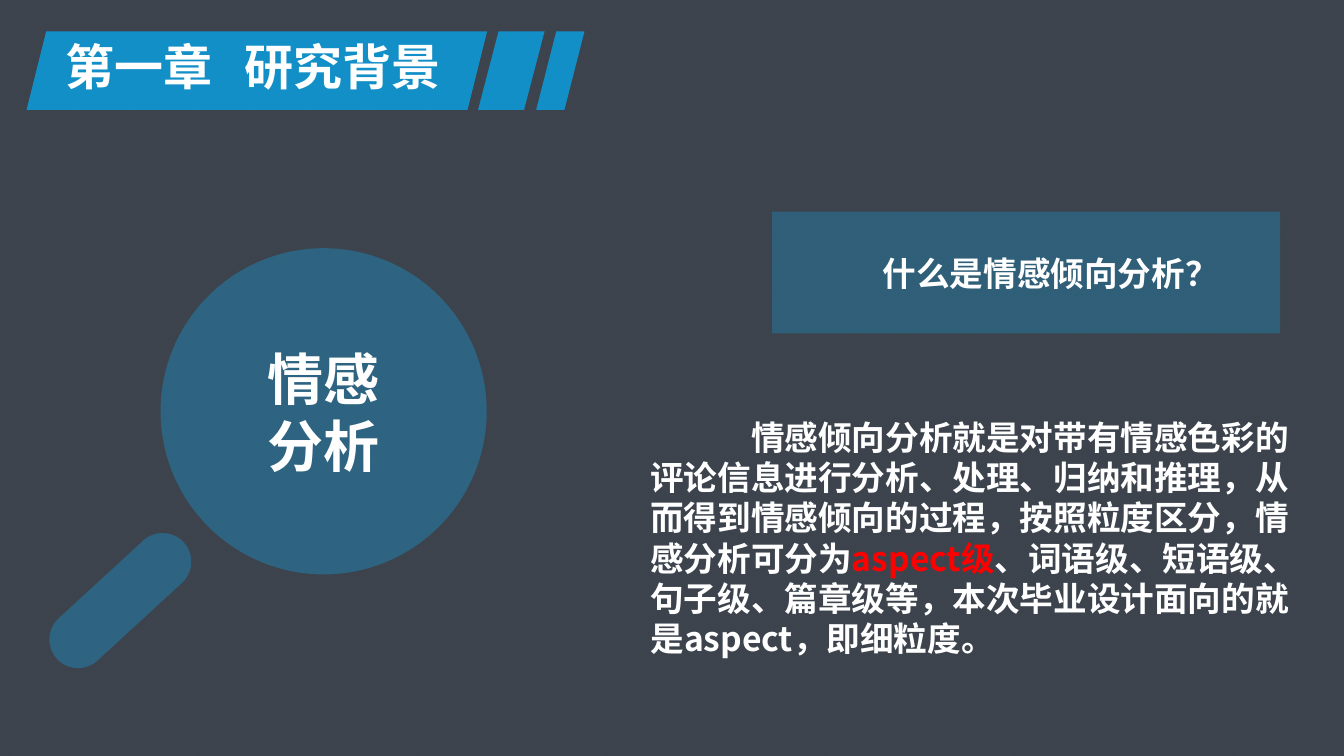
from dataclasses import dataclass

import pptx
import pptx.dml.color
import pptx.enum.dml
import pptx.enum.shapes
import pptx.enum.text
import pptx.oxml
import pptx.oxml.ns
import pptx.util

Pt = pptx.util.Pt
RGB = pptx.dml.color.RGBColor.from_string
SHAPE = pptx.enum.shapes.MSO_SHAPE
ALIGN = pptx.enum.text.PP_ALIGN
ANCHOR = pptx.enum.text.MSO_ANCHOR
qn = pptx.oxml.ns.qn


@dataclass(frozen=True)
class Theme:
    font: str = "Noto Sans CJK SC"
    white: str = "FFFFFF"
    red: str = "FF0000"
    banner: str = "138FC7"
    accent: str = "159FDD"
    overlay: str = "222A35"
    pattern_fore: str = "BFBFBF"
    pattern_back: str = "DDDCE2"
    title_size: int = 35
    lens_size: int = 40
    body_size: int = 24


THEME = Theme()


def format_run(r, size, color=THEME.white):
    r.font.size = Pt(size)
    r.font.bold = True
    r.font.color.rgb = RGB(color)
    r.font.name = THEME.font
    ea = r.font._element.makeelement(qn("a:ea"), {"typeface": THEME.font})
    r.font._element.find(qn("a:latin")).addnext(ea)


def set_text(tf, text, size, align=ALIGN.LEFT):
    tf.text = text
    for p in tf.paragraphs:
        p.alignment = align
        for r in p.runs:
            format_run(r, size)


def set_indent(p, **attributes):
    pPr = p._p.get_or_add_pPr()
    for name, value in attributes.items():
        pPr.set(name, str(Pt(value)))


def add_shape(s, kind, box, color, alpha=100, adjust=None):
    sp = s.shapes.add_shape(kind, *map(Pt, box))
    sp.shadow.inherit = False
    sp.line.fill.background()
    sp.fill.solid()
    sp.fill.fore_color.rgb = RGB(color)
    if alpha < 100:
        srgb = sp._element.spPr.find(".//" + qn("a:srgbClr"))
        srgb.append(srgb.makeelement(qn("a:alpha"), {"val": str(alpha * 1000)}))
    if adjust is not None:
        sp.adjustments[0] = adjust
    return sp


def add_background(prs, s):
    fill = s.background.fill
    fill.patterned()
    fill.pattern = pptx.enum.dml.MSO_PATTERN.LIGHT_UPWARD_DIAGONAL
    fill.fore_color.rgb = RGB(THEME.pattern_fore)
    fill.back_color.rgb = RGB(THEME.pattern_back)
    size = (0, 0, prs.slide_width.pt, prs.slide_height.pt)
    add_shape(s, SHAPE.RECTANGLE, size, THEME.overlay, 85)


def add_title(s, text):
    # Banner: one long slanted bar and two short ones
    for left, width, adjust in ((19, 329, 0.25), (341.5, 47.5, 0.308), (383, 34.5, 0.415)):
        add_shape(s, SHAPE.PARALLELOGRAM, (left, 22.5, width, 56), THEME.banner,
                  adjust=adjust)

    # Title, raised above the banner
    title = s.shapes.title
    title.left, title.top, title.width, title.height = map(Pt, (39.6, 22.5, 293, 49.7))
    tf = title.text_frame
    tf.auto_size = pptx.enum.text.MSO_AUTO_SIZE.NONE
    tf.vertical_anchor = ANCHOR.TOP
    tf.word_wrap = False
    set_text(tf, text, THEME.title_size)
    pPr = tf.paragraphs[0]._p.get_or_add_pPr()
    tabs = pptx.oxml.parse_xml(
        f'<a:tabLst {pptx.oxml.ns.nsdecls("a")}><a:tab pos="{Pt(128)}" algn="l"/></a:tabLst>')
    pPr.append(tabs)
    s.shapes._spTree.append(title._element)


def add_magnifier(s, text):
    lens = add_shape(s, SHAPE.OVAL, (114.7, 177.3, 233, 233), THEME.accent, 36)
    lens.text_frame.vertical_anchor = ANCHOR.MIDDLE
    set_text(lens.text_frame, text, THEME.lens_size, ALIGN.CENTER)
    handle = add_shape(s, SHAPE.ROUNDED_RECTANGLE, (24.5, 408.5, 123, 41),
                       THEME.accent, 36, 0.5)
    handle.rotation = 317.4


def add_question(s, text):
    sp = add_shape(s, SHAPE.RECTANGLE, (551.5, 151.2, 363, 87), THEME.accent, 30)
    sp.text_frame.vertical_anchor = ANCHOR.MIDDLE
    set_text(sp.text_frame, text, THEME.body_size)
    set_indent(sp.text_frame.paragraphs[0], marL=72, indent=0)


def add_explanation(s, parts):
    tf = s.shapes.add_textbox(*map(Pt, (457.5, 294, 489.6, 181.5))).text_frame
    tf.word_wrap = True
    p = tf.paragraphs[0]
    set_indent(p, marL=0, indent=72)
    for text, color in parts:
        r = p.add_run()
        r.text = text
        format_run(r, THEME.body_size, color)


def main():
    prs = pptx.Presentation()
    prs.slide_width, prs.slide_height = Pt(960), Pt(540)
    s = prs.slides.add_slide(prs.slide_layouts[5])

    add_background(prs, s)
    add_title(s, "第一章\t研究背景")
    add_question(s, "什么是情感倾向分析？")
    add_magnifier(s, "情感\n分析")
    add_explanation(s, (
        ("情感倾向分析就是对带有情感色彩的评论信息进行分析、处理、归纳和推理，"
         "从而得到情感倾向的过程，按照粒度区分，情感分析可分为", THEME.white),
        ("aspect级", THEME.red),
        ("、词语级、短语级、句子级、篇章级等，本次毕业设计面向的就是aspect，即细粒度。",
         THEME.white),
    ))
    prs.save("out.pptx")


if __name__ == "__main__":
    main()
